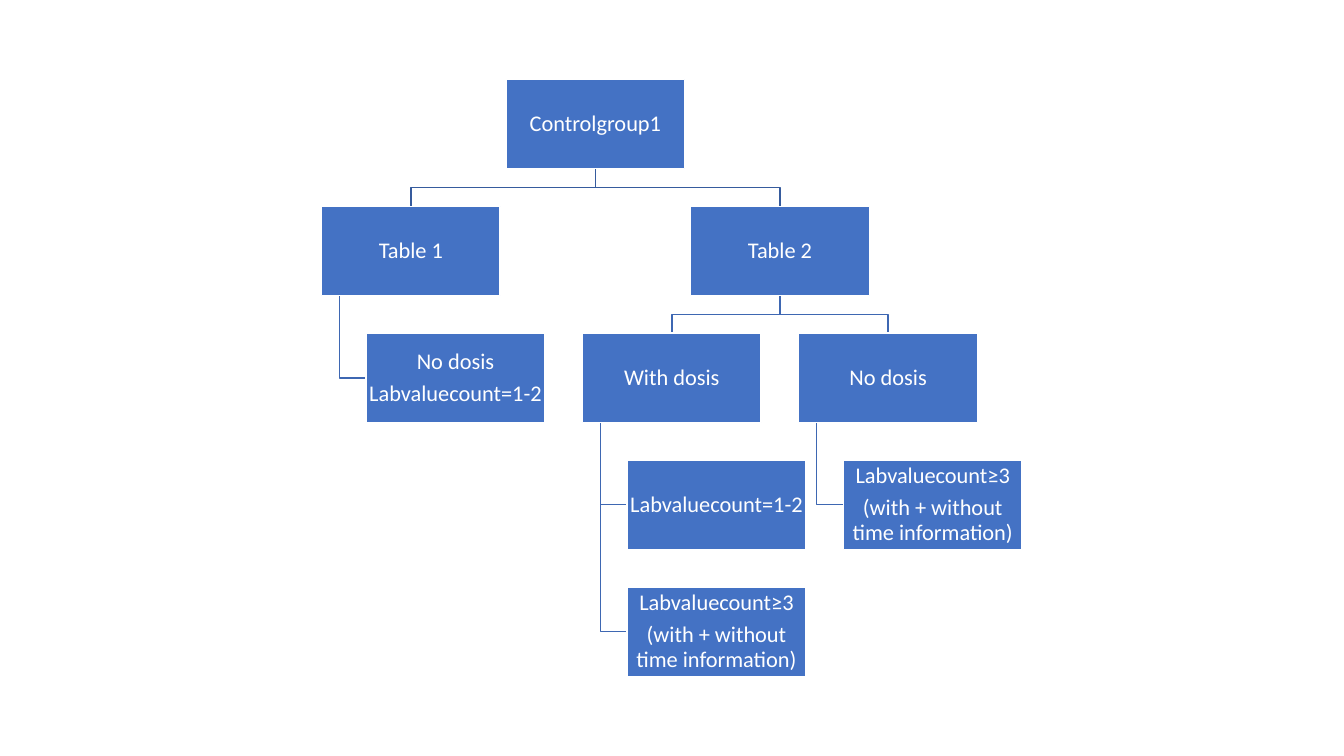
from dataclasses import dataclass

import pptx
import pptx.dml.color
import pptx.enum.shapes
import pptx.enum.text
import pptx.util

Pt = pptx.util.Pt
RGB = pptx.dml.color.RGBColor


@dataclass(frozen=True)
class Theme:
    font: str = "Calibri"
    size: float = 16
    text: RGB = RGB.from_string("FFFFFF")
    box: RGB = RGB.from_string("4472C4")
    root_line: RGB = RGB.from_string("365B9D")
    line: RGB = RGB.from_string("3E67B2")
    stroke: float = 1


THEME = Theme()

# Box proportions, in points
W, H, GAP = 127.7, 63.85, 26.8
ROW = H + GAP
INDENT, STEM = W / 4, W / 10

SMALL_COUNT = "Labvaluecount=1-2"
LARGE_COUNT = ["Labvaluecount≥3", "(with + without time information)"]


def add_path(s, points, color):
    """Draw an open line through points given in points."""
    emu = [(Pt(x), Pt(y)) for x, y in points]
    builder = s.shapes.build_freeform(*emu[0])
    builder.add_line_segments(emu[1:], close=False)
    sp = builder.convert_to_shape()
    sp.shadow.inherit = False
    sp.fill.background()
    sp.line.color.rgb = color
    sp.line.width = Pt(THEME.stroke)


def add_fork(s, parent, child, color):
    """Join a parent's bottom middle to a child's top middle."""
    (px, py), (cx, cy) = parent, child
    bottom, start, end = py + H, px + W / 2, cx + W / 2
    middle = (bottom + cy) / 2
    add_path(s, [(start, bottom), (start, middle), (end, middle), (end, cy)], color)


def add_hook(s, parent, child):
    """Join a parent's bottom edge to the left side of a hanging child."""
    (px, py), (cx, cy) = parent, child
    stem, middle = px + STEM, cy + H / 2
    add_path(s, [(stem, py + H), (stem, middle), (cx, middle)], THEME.line)


def add_box(s, place, lines):
    x, y = place
    sp = s.shapes.add_shape(pptx.enum.shapes.MSO_SHAPE.RECTANGLE, Pt(x), Pt(y), Pt(W), Pt(H))
    sp.shadow.inherit = False
    sp.fill.solid()
    sp.fill.fore_color.rgb = THEME.box
    sp.line.color.rgb = THEME.text
    sp.line.width = Pt(THEME.stroke)
    tf = sp.text_frame
    tf.word_wrap = True
    tf.vertical_anchor = pptx.enum.text.MSO_ANCHOR.MIDDLE
    tf.margin_left = tf.margin_right = tf.margin_top = tf.margin_bottom = Pt(0.8)
    tf.text = "\n".join(lines)
    for p in tf.paragraphs:
        p.alignment = pptx.enum.text.PP_ALIGN.CENTER
        p.line_spacing = 0.9
        p.space_after = Pt(0.35 * THEME.size)
        p.font.name = THEME.font
        p.font.size = Pt(THEME.size)
        p.font.color.rgb = THEME.text


def add_tree(s, left, top):
    """Place the whole hierarchy from its top left corner."""
    rows = [top + i * ROW for i in range(5)]

    # Columns: parents are centred over their children
    table1_x = left
    dosis_x = table1_x + W + INDENT + GAP
    no_dosis_x = dosis_x + W + GAP
    table2_x = (dosis_x + no_dosis_x) / 2
    root = ((table1_x + table2_x) / 2, rows[0])
    table1, table2 = (table1_x, rows[1]), (table2_x, rows[1])
    dosis, no_dosis = (dosis_x, rows[2]), (no_dosis_x, rows[2])
    table1_leaf = (table1_x + INDENT, rows[2])
    dosis_small, dosis_large = [(dosis_x + INDENT, y) for y in rows[3:]]
    no_dosis_leaf = (no_dosis_x + INDENT, rows[3])

    # Lines
    for child in (table1, table2):
        add_fork(s, root, child, THEME.root_line)
    for child in (dosis, no_dosis):
        add_fork(s, table2, child, THEME.line)
    for parent, child in [(table1, table1_leaf), (dosis, dosis_small),
                          (dosis, dosis_large), (no_dosis, no_dosis_leaf)]:
        add_hook(s, parent, child)

    # Boxes
    for place, lines in [
        (root, ["Controlgroup1"]),
        (table1, ["Table 1"]),
        (table1_leaf, ["No dosis", SMALL_COUNT]),
        (table2, ["Table 2"]),
        (dosis, ["With dosis"]),
        (dosis_small, [SMALL_COUNT]),
        (dosis_large, LARGE_COUNT),
        (no_dosis, ["No dosis"]),
        (no_dosis_leaf, LARGE_COUNT),
    ]:
        add_box(s, place, lines)


def main():
    prs = pptx.Presentation()
    prs.slide_width, prs.slide_height = Pt(960), Pt(540)
    s = prs.slides.add_slide(prs.slide_layouts[6])
    add_tree(s, left=229.6, top=56.7)
    prs.save("out.pptx")


if __name__ == "__main__":
    main()
